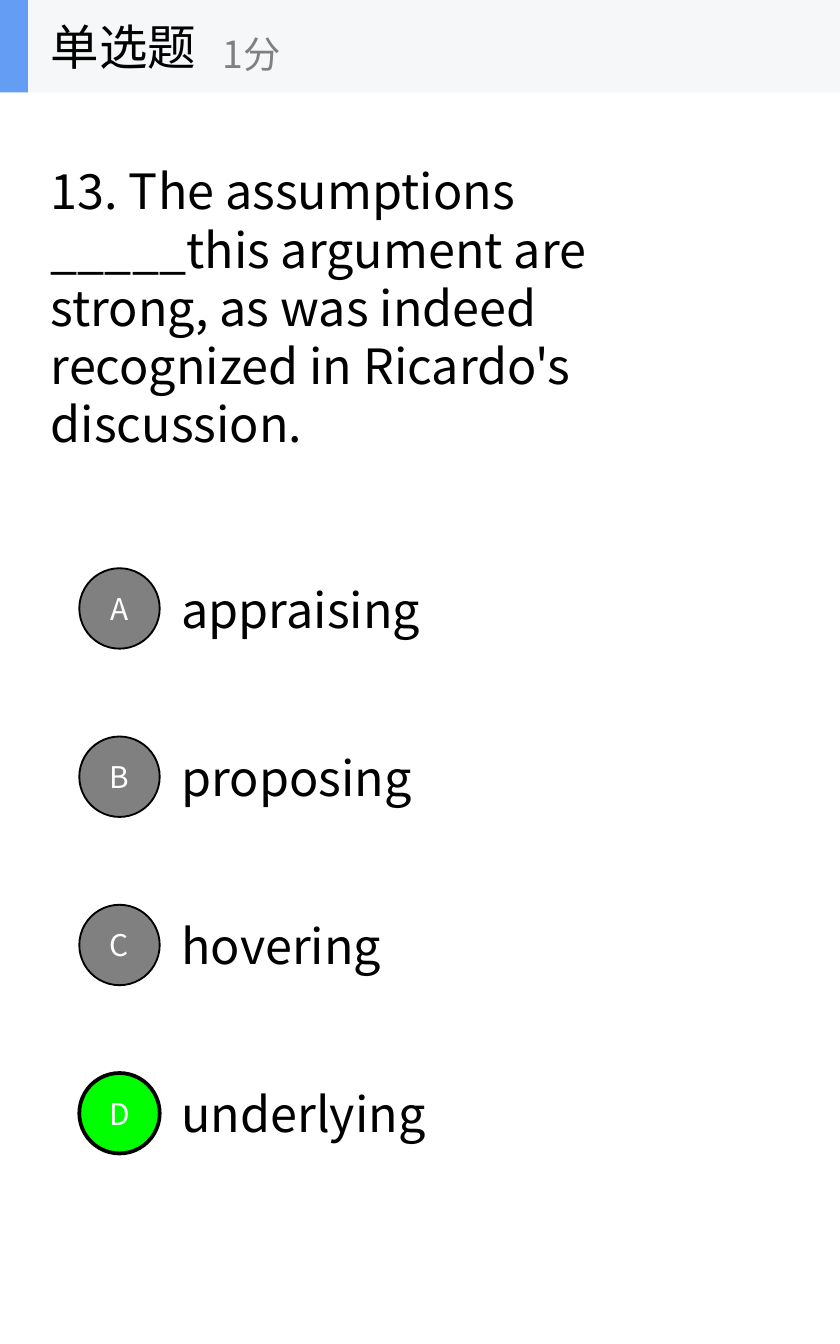
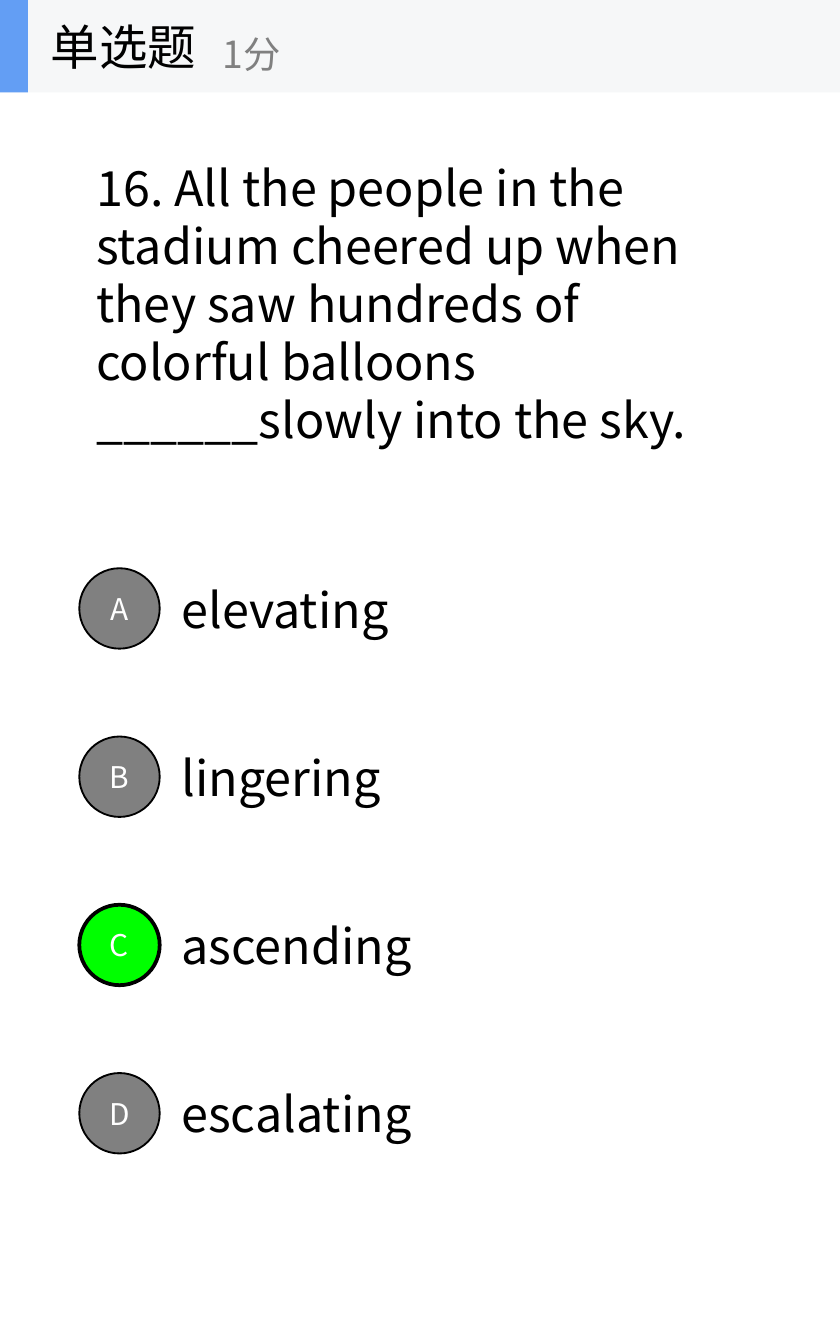
from dataclasses import dataclass

from lxml.etree import SubElement
from pptx import Presentation
from pptx.dml.color import RGBColor as Rgb
from pptx.enum.shapes import MSO_SHAPE as Preset
from pptx.enum.text import MSO_ANCHOR as Anchor, MSO_AUTO_SIZE as AutoSize, PP_ALIGN as Align
from pptx.oxml.ns import qn
from pptx.util import Cm, Pt


@dataclass(frozen=True)
class Theme:
    """Colours, font and type sizes shared by the quiz slides."""
    font: str = "Noto Sans CJK SC"
    ink: str = "000000"
    muted: str = "808080"
    white: str = "FFFFFF"
    band: str = "F6F7F8"
    accent: str = "639EF4"
    correct: str = "00FF00"
    body_size: int = 26
    score_size: int = 20
    letter_size: int = 16


THEME = Theme()
LETTERS = "ABCD"
LABEL_WIDTHS = (8.66, 6.2, 9.45, 7.21)
OPTION_TOP, OPTION_STEP = 10.74, 3.18
QUESTIONS = (
    {
        "stem": "13. The assumptions _____this argument are strong, "
                "as was indeed recognized in Ricardo's discussion.",
        "stem_place": (0.71, 3.45, 13.59, 4.7),
        "options": ("appraising", "proposing", "hovering", "underlying"),
        "answer": "D",
    },
    {
        "stem": "16. All the people in the stadium cheered up when they saw "
                "hundreds of colorful balloons ______slowly into the sky.",
        "stem_place": (1.57, 2.82, 13.11, 5.82),
        "options": ("elevating", "lingering", "ascending", "escalating"),
        "answer": "C",
    },
)


def write_text(frame, text, size=THEME.body_size, color=THEME.ink,
               align=Align.LEFT, wrap=True, grow=False):
    """Fill a text frame with one formatted paragraph."""
    frame.word_wrap = wrap
    frame.vertical_anchor = Anchor.MIDDLE
    frame.auto_size = AutoSize.SHAPE_TO_FIT_TEXT if grow else AutoSize.NONE
    paragraph = frame.paragraphs[0]
    paragraph.alignment = align
    run = paragraph.add_run()
    run.text = text
    run.font.size = Pt(size)
    run.font.name = THEME.font
    run.font.color.rgb = Rgb.from_string(color)
    SubElement(run.font._element, qn("a:ea"), typeface=THEME.font)


def add_text(shapes, text, place, **text_format):
    """Add a text box at a place given in centimetres."""
    box = shapes.add_textbox(*map(Cm, place))
    write_text(box.text_frame, text, **text_format)


def add_filled(shapes, preset, place, fill, line_width=0):
    """Add a flat preset shape, outlined when a line width is given."""
    shape = shapes.add_shape(preset, *map(Cm, place))
    shape.shadow.inherit = False
    shape.fill.solid()
    shape.fill.fore_color.rgb = Rgb.from_string(fill)
    if line_width:
        shape.line.color.rgb = Rgb.from_string(THEME.ink)
        shape.line.width = Pt(line_width)
    else:
        shape.line.fill.background()
    return shape


def add_header(slide):
    """Add the grouped band with question type and score."""
    header = slide.shapes.add_group_shape().shapes
    add_filled(header, Preset.RECTANGLE, (0, 0, 15.88, 1.75), THEME.band)
    add_filled(header, Preset.RECTANGLE, (0, 0, 0.53, 1.75), THEME.accent)
    add_text(header, "单选题", (0.71, 0, 5.28, 1.75), wrap=False)
    add_text(header, "1分", (3.96, 0.3, 6.35, 1.42),
             size=THEME.score_size, color=THEME.muted, wrap=False)


def add_option(slide, letter, answer_text, top, label_width, is_correct):
    """Add one answer with its lettered circle."""
    add_text(slide.shapes, answer_text, (3.18, top + 0.08, label_width, 1.37), grow=True)
    fill, line_width = (THEME.correct, 2) if is_correct else (THEME.muted, 1)
    circle = add_filled(slide.shapes, Preset.OVAL, (1.5, top, 1.52, 1.52), fill, line_width)
    write_text(circle.text_frame, letter, size=THEME.letter_size,
               color=THEME.white, align=Align.CENTER)


def add_question(deck, stem, stem_place, options, answer):
    """Add a slide with one single-choice question."""
    slide = deck.slides.add_slide(deck.slide_layouts[6])
    add_text(slide.shapes, stem, stem_place, grow=True)
    for index, (letter, option, width) in enumerate(zip(LETTERS, options, LABEL_WIDTHS)):
        add_option(slide, letter, option, OPTION_TOP + index * OPTION_STEP,
                   width, letter == answer)
    add_header(slide)


def main():
    """Build the quiz deck."""
    deck = Presentation()
    deck.slide_width, deck.slide_height = Cm(15.88), Cm(25.4)
    for question in QUESTIONS:
        add_question(deck, **question)
    deck.save("out.pptx")


if __name__ == "__main__":
    main()
